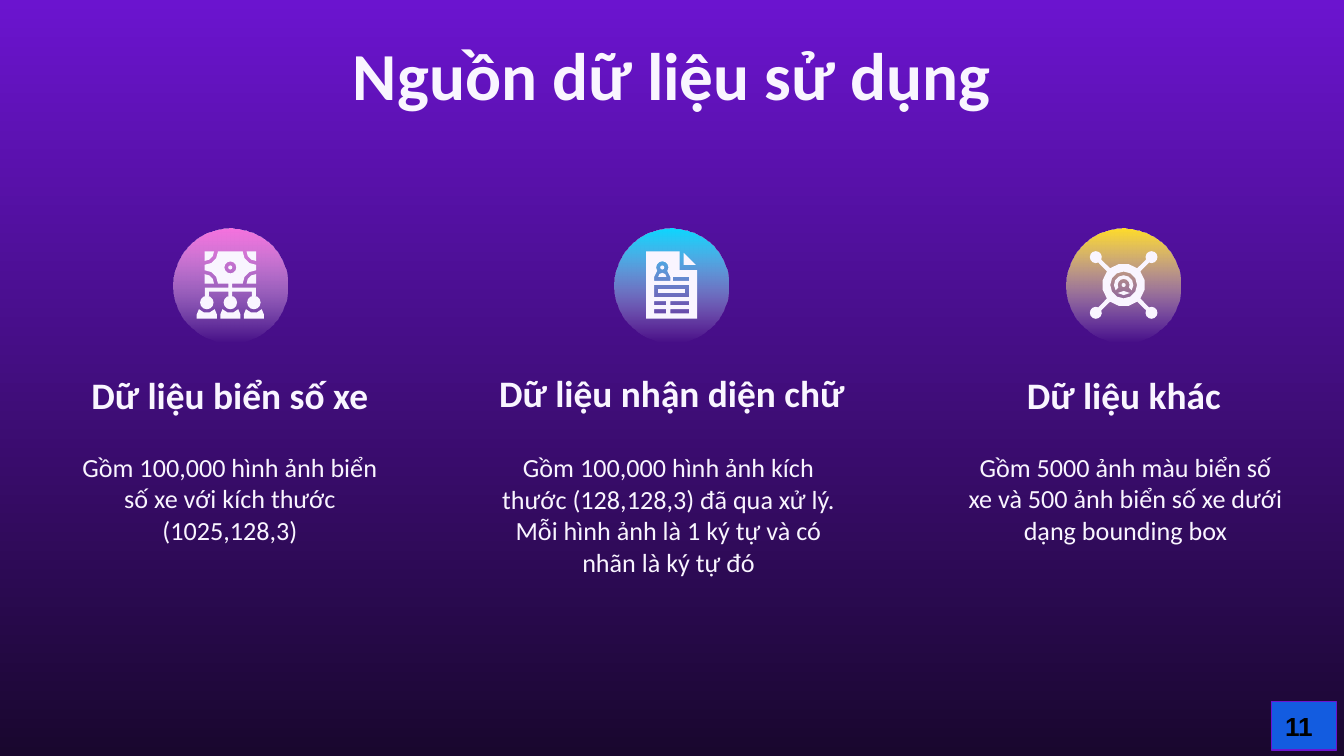
from math import cos, radians, sin

from lxml.etree import SubElement
from pptx import Presentation
from pptx.dml.color import RGBColor
from pptx.enum.shapes import MSO_SHAPE
from pptx.enum.text import MSO_ANCHOR, MSO_AUTO_SIZE, PP_ALIGN
from pptx.oxml.ns import qn
from pptx.util import Pt

COLORS = {
    "text": "F9F5FF",
    "top": "6B14CF",
    "bottom": "19072E",
    "pink": "F772DF",
    "cyan": "0CD7FF",
    "yellow": "FFDC2A",
    "clear": "FFFFFF",
    "badge": "135CE0",
    "number": "000000",
}
RGB = {name: RGBColor.from_string(value) for name, value in COLORS.items()}


def write(shape, text, size=14, bold=False, color="text", font="Calibri", align=PP_ALIGN.CENTER):
    tf = shape.text_frame
    tf.word_wrap = True
    tf.auto_size = MSO_AUTO_SIZE.NONE
    tf.vertical_anchor = MSO_ANCHOR.MIDDLE
    tf.margin_left = tf.margin_right = tf.margin_top = tf.margin_bottom = Pt(7.2)
    p = tf.paragraphs[0]
    p.alignment = align
    r = p.add_run()
    r.text = text
    r.font.size = Pt(size)
    r.font.bold = bold
    r.font.name = font
    r.font.color.rgb = RGB[color]


def draw(cx, cy, contours):
    builder = None
    for contour in contours:
        points = []
        for item in contour:
            if len(item) == 2:
                points.append(item)
                continue
            x, y, radius, start, end = item
            steps = max(2, round(abs(end - start) / (30 if radius > 3 else 45)))
            for i in range(steps if abs(end - start) == 360 else steps + 1):
                a = radians(start + (end - start) * i / steps)
                points.append((x + radius * cos(a), y + radius * sin(a)))
        points = [((cx + x) * 100, (cy + y) * 100) for x, y in points]
        if builder is None:
            builder = s.shapes.build_freeform(*points[0], scale=Pt(1) / 100)
        else:
            builder.move_to(*points[0])
        builder.add_line_segments(points[1:], close=True)
    sp = builder.convert_to_shape()
    sp.shadow.inherit = False
    sp.fill.solid()
    sp.fill.fore_color.rgb = RGB["text"]
    sp.line.fill.background()


prs = Presentation()
prs.slide_width, prs.slide_height = Pt(720), Pt(405)
s = prs.slides.add_slide(prs.slide_layouts[5])

fill = s.background.fill
fill.gradient()
fill.gradient_angle = 270
for stop, name in zip(fill.gradient_stops, ("top", "bottom")):
    stop.color.rgb = RGB[name]

title = s.shapes.title
title.left, title.top, title.width, title.height = Pt(0), Pt(0), Pt(720), Pt(78.5)
write(title, "Nguồn dữ liệu sử dụng", size=36, bold=True)

columns = [
    ("pink", 123.4, "Dữ liệu biển số xe", (31.4, 190.4, 183.6),
     "Gồm 100,000 hình ảnh biển số xe với kích thước (1025,128,3)", (31.4, 239.3, 183.6)),
    ("cyan", 359.8, "Dữ liệu nhận diện chữ", (250.9, 189.4, 218.2),
     "Gồm 100,000 hình ảnh kích thước (128,128,3) đã qua xử lý. "
     "Mỗi hình ảnh là 1 ký tự và có nhãn là ký tự đó", (256.3, 248, 203.8)),
    ("yellow", 602, "Dữ liệu khác", (510.3, 190.4, 183.6),
     "Gồm 5000 ảnh màu biển số xe và 500 ảnh biển số xe dưới dạng bounding box",
     (511.2, 239.3, 183.6)),
]
for color, cx, heading, heading_at, body, body_at in columns:
    x, y, w = heading_at
    write(s.shapes.add_textbox(Pt(x), Pt(y), Pt(w), Pt(41.8)), heading, size=20, bold=True)
    x, y, w = body_at
    write(s.shapes.add_textbox(Pt(x), Pt(y), Pt(w), Pt(55.4)), body)

    disc = s.shapes.add_shape(MSO_SHAPE.OVAL, Pt(cx - 30.6), Pt(122.4), Pt(61.2), Pt(61.2))
    disc.shadow.inherit = False
    disc.line.fill.background()
    disc.fill.gradient()
    disc.fill.gradient_angle = 270
    for stop, name in zip(disc.fill.gradient_stops, (color, "clear")):
        stop.color.rgb = RGB[name]
    clear = disc.element.spPr.findall(".//" + qn("a:srgbClr"))[-1]
    SubElement(clear, qn("a:alpha")).set("val", "0")

cy = 152.7
pink_x, cyan_x, yellow_x = [column[1] for column in columns]

tree = [(-1, -0.7), (-1, 1.4), (-13.7, 1.4), (-13.7, 5.8), (-11.5, 5.8), (-11.5, 3.6),
        (-1, 3.6), (-1, 5.8), (1, 5.8), (1, 3.6), (11.5, 3.6), (11.5, 5.8),
        (13.7, 5.8), (13.7, 1.4), (1, 1.4), (1, -0.7)]
bill = [(-13.8, -18, 7.2, 0, 90), (-13.8, -0.7, 7.2, -90, 0), *tree,
        (13.8, -0.7, 7.2, 180, 270), (13.8, -18, 7.2, 90, 180)]
heads = [[(x, 9.4, 3.6, 0, 360)] for x in (-12.6, 0, 12.6)]
draw(pink_x, cy, [bill, [(0, -9.4, 3.2, 0, 360)], *heads])
draw(pink_x, cy, [[(0, -9.4, 1.1, 0, 360)]])
for x in (-12.6, 0, 12.6):
    draw(pink_x + x, cy, [[(-5.4, 18), (-5.4, 15.8), (0, 9.4, 5.5, 140, 40), (5.4, 15.8), (5.4, 18)]])
for x, y, start in ((-13.8, -18, 0), (13.8, -18, 90), (13.8, -0.7, 180), (-13.8, -0.7, 270)):
    draw(pink_x, cy, [[(x, y), (x, y, 5.1, start, start + 90)]])

page = [(-13.7, -18), (-13.7, 18), (13.7, 18), (13.7, -8), (4.3, -8), (4.3, -18)]
person = [(-9.4, -2.2), (-9.4, -4.3), (-7.7, -7.7), (-5, -9.4, 3.3, 150, 390),
          (-2.4, -7.7), (-0.7, -4.3), (-0.7, -2.2)]
slots = [(0.7, -4.3, 9.4, -2.2), (-9.4, 0, 9.4, 6.5)]
for y in (8.6, 13):
    slots += [(-9.4, y, -2.9, y + 2.2), (-0.7, y, 9.4, y + 2.2)]
holes = [[(x1, y1), (x2, y1), (x2, y2), (x1, y2)] for x1, y1, x2, y2 in slots]
draw(cyan_x, cy, [page, person, *holes])
for part in ([(-7.2, 2.2), (7.2, 2.2), (7.2, 4.3), (-7.2, 4.3)],
             [(6.5, -17.3), (6.5, -10.8), (13, -10.8)],
             [(-5, -4.3, 2.2, 180, 360)],
             [(-5, -9.4, 1.1, 0, 360)]):
    draw(cyan_x, cy, [part])

hub = []
for a in (45, 135, 225, 315):
    node_x, node_y = 21.1 * cos(radians(a)), 21.1 * sin(radians(a))
    hub += [(node_x, node_y, 3.2, a - 160, a + 160), (0, 0, 11.5, a + 6, a + 84)]
draw(yellow_x, cy, [hub, [(0, 0, 7.2, 0, 360)]])
for part in ([(0, 0, 5.2, 146, 394), (0, 0, 3.2, 386, 154)],
             [(0, 0, 1.1, 0, 360)],
             [(0, 8.6, 5.4, 233, 307), (0, 0, 5.4, 53, 127)]):
    draw(yellow_x, cy, [part])

badge = s.shapes.add_shape(MSO_SHAPE.RECTANGLE, Pt(681.3), Pt(376), Pt(34.6), Pt(25.9))
badge.shadow.inherit = False
badge.fill.solid()
badge.fill.fore_color.rgb = RGB["badge"]
badge.line.color.rgb = RGB["top"]
badge.line.width = Pt(0.75)
write(badge, "11", bold=True, color="number", font="Arial", align=PP_ALIGN.LEFT)

prs.save("out.pptx")
